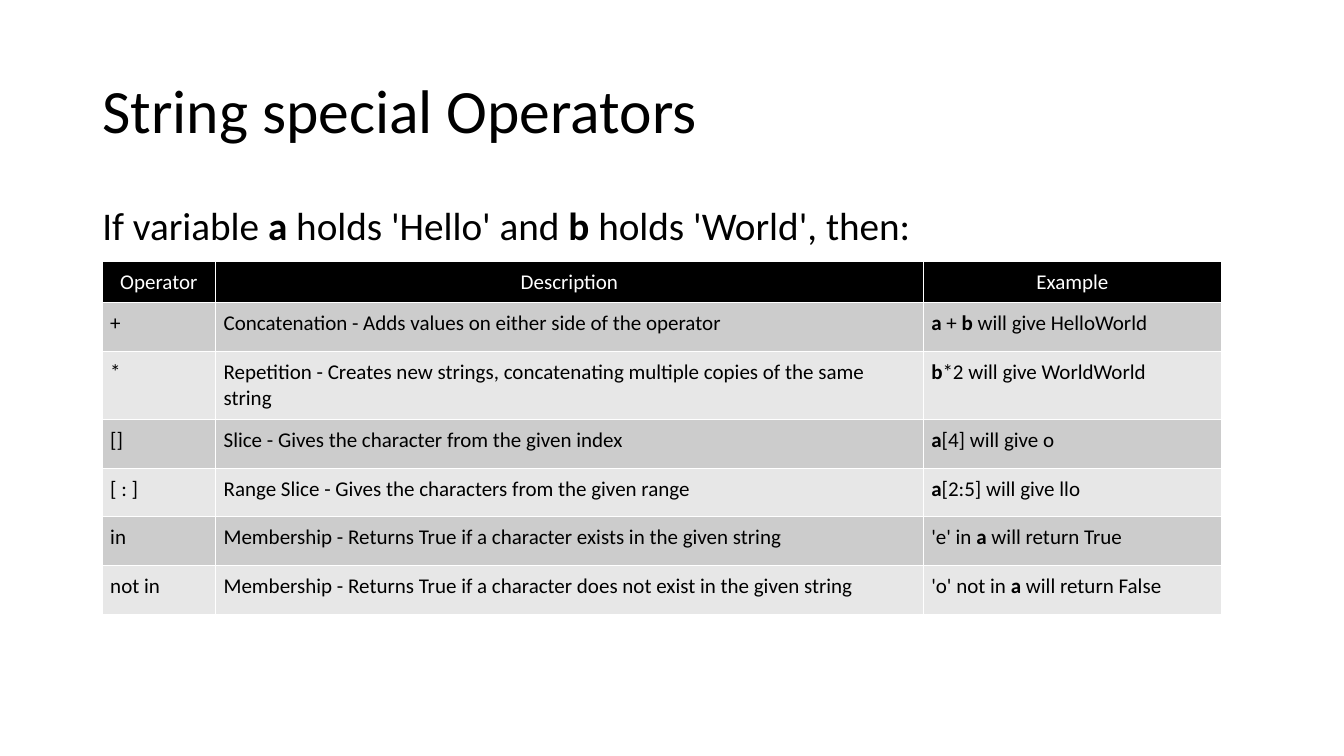
from dataclasses import dataclass
from typing import Any

from pptx import Presentation
from pptx.dml.color import RGBColor
from pptx.enum.text import MSO_ANCHOR as Anchor, MSO_AUTO_SIZE as AutoSize, PP_ALIGN as Align
from pptx.oxml import parse_xml
from pptx.oxml.ns import nsdecls
from pptx.util import Pt

BLACK = RGBColor(0x00, 0x00, 0x00)
WHITE = RGBColor(0xFF, 0xFF, 0xFF)
DARK_BAND = RGBColor(0xCC, 0xCC, 0xCC)
LIGHT_BAND = RGBColor(0xE7, 0xE7, 0xE7)

FONT = "Calibri"
BOLD_MARK = "|"  # encloses bold words
TITLE_ONLY = 5
CELL_INSET = Pt(5.76)
COLUMN_WIDTHS = (81, 505.5, 213)
HEADER_HEIGHT = 21
ROW_HEIGHT = 34.8


@dataclass(frozen=True)
class Operator:
    symbol: str
    description: str
    example: str
    height: float = ROW_HEIGHT


HEADER = Operator("Operator", "Description", "Example", HEADER_HEIGHT)
OPERATORS = (
    Operator("+", "Concatenation - Adds values on either side of the operator",
             "|a| + |b| will give HelloWorld"),
    Operator("*", "Repetition - Creates new strings, concatenating multiple copies of the same string",
             "|b|*2 will give WorldWorld", 48.5),
    Operator("[]", "Slice - Gives the character from the given index",
             "|a|[4] will give o"),
    Operator("[ : ]", "Range Slice - Gives the characters from the given range",
             "|a|[2:5] will give llo"),
    Operator("in", "Membership - Returns True if a character exists in the given string",
             "'e' in |a| will return True"),
    Operator("not in", "Membership - Returns True if a character does not exist in the given string",
             "'o' not in |a| will return False"),
)


def set_values(target: Any, values: dict[str, Any]) -> None:
    for name, value in values.items():
        setattr(target, name, value)


def write_text(text_frame: Any, text: str, size: float, color: RGBColor,
               **paragraph_format: Any) -> None:
    paragraph = text_frame.paragraphs[0]
    set_values(paragraph, {"alignment": Align.LEFT, **paragraph_format})
    for index, part in enumerate(text.split(BOLD_MARK)):
        if part:
            run = paragraph.add_run()
            run.text = part
            set_values(run.font, {"name": FONT, "size": Pt(size), "bold": index % 2 == 1})
            run.font.color.rgb = color


def place(shape: Any, left: float, top: float, width: float, height: float) -> None:
    set_values(shape, {"left": Pt(left), "top": Pt(top),
                       "width": Pt(width), "height": Pt(height)})


def add_borders(cell: Any) -> None:
    properties = cell._tc.get_or_add_tcPr()
    for side in "LRTB":
        properties.append(parse_xml(
            f'<a:ln{side} {nsdecls("a")} w="{Pt(1)}"><a:solidFill>'
            f'<a:srgbClr val="{WHITE}"/></a:solidFill></a:ln{side}>'))


def format_cell(cell: Any, text: str, fill: RGBColor, color: RGBColor, alignment: Align) -> None:
    set_values(cell, {f"margin_{side}": CELL_INSET for side in ("left", "right", "top", "bottom")})
    add_borders(cell)
    cell.fill.solid()
    cell.fill.fore_color.rgb = fill
    write_text(cell.text_frame, text, 15, color, alignment=alignment)


def add_operator_table(slide: Any) -> None:
    rows = (HEADER, *OPERATORS)
    frame = slide.shapes.add_table(
        len(rows), len(COLUMN_WIDTHS), Pt(73), Pt(186.8),
        Pt(sum(COLUMN_WIDTHS)), Pt(sum(row.height for row in rows)))
    table = frame.table
    set_values(table, {"first_row": False, "horz_banding": False})
    for column, width in zip(table.columns, COLUMN_WIDTHS):
        column.width = Pt(width)
    for index, operator in enumerate(rows):
        table.rows[index].height = Pt(operator.height)
        if index == 0:
            style = (BLACK, WHITE, Align.CENTER)
        else:
            style = (DARK_BAND if index % 2 else LIGHT_BAND, BLACK, Align.LEFT)
        texts = (operator.symbol, operator.description, operator.example)
        for cell, text in zip(table.rows[index].cells, texts):
            format_cell(cell, text, *style)


def main() -> None:
    presentation = Presentation()
    set_values(presentation, {"slide_width": Pt(960), "slide_height": Pt(540)})
    slide = presentation.slides.add_slide(presentation.slide_layouts[TITLE_ONLY])

    # Title
    title = slide.shapes.title
    place(title, 66, 28.75, 828, 104.4)
    set_values(title.text_frame, {"vertical_anchor": Anchor.MIDDLE, "word_wrap": True,
                                  "auto_size": AutoSize.NONE})
    write_text(title.text_frame, "String special Operators", 44, BLACK, line_spacing=0.9)

    # Introduction
    introduction = slide.shapes.add_textbox(Pt(66), Pt(143.75), Pt(828), Pt(342.6))
    introduction.text_frame.word_wrap = True
    write_text(introduction.text_frame,
               "If variable |a |holds 'Hello' and |b |holds 'World', then:",
               28, BLACK, line_spacing=0.9, space_before=Pt(10))

    # Operators
    add_operator_table(slide)
    presentation.save("out.pptx")


if __name__ == "__main__":
    main()
